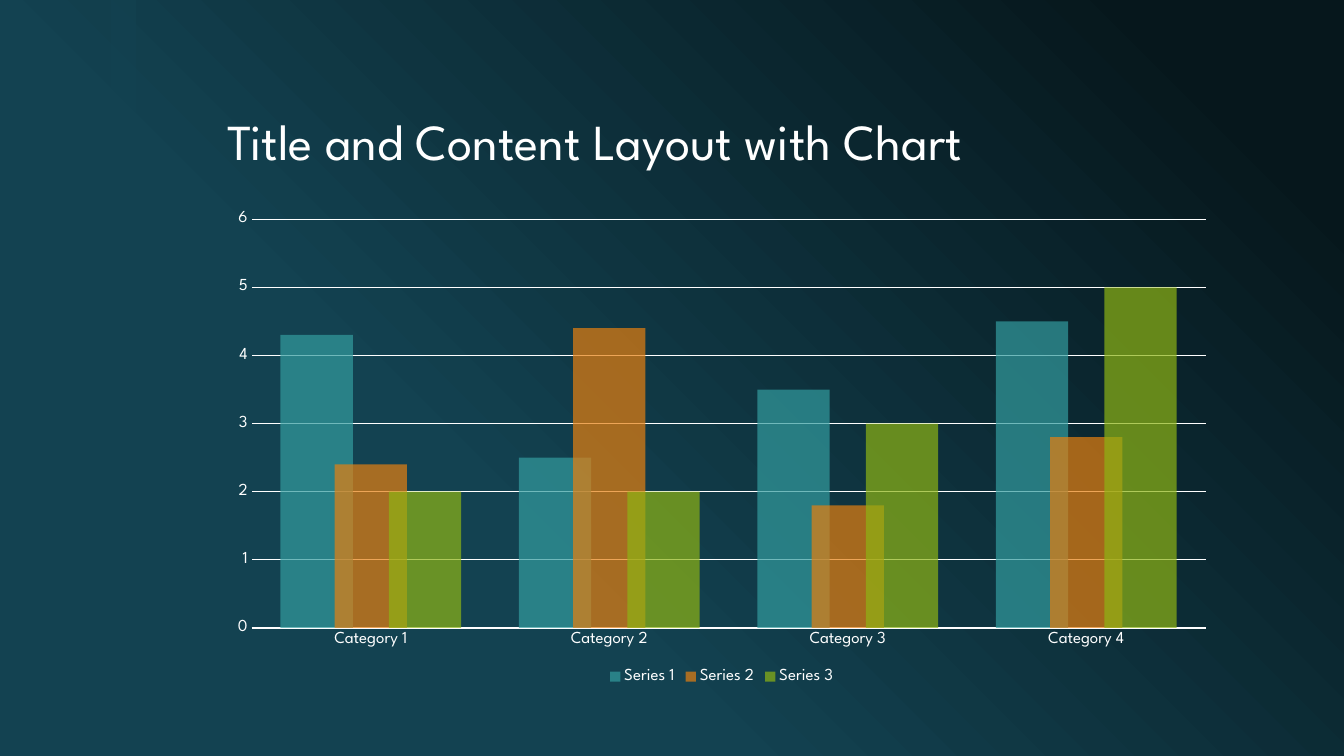
from dataclasses import dataclass

from lxml.etree import SubElement
from pptx import Presentation
from pptx.chart.chart import Chart
from pptx.chart.data import CategoryChartData
from pptx.dml.color import RGBColor
from pptx.dml.fill import FillFormat
from pptx.enum.chart import XL_CHART_TYPE, XL_LEGEND_POSITION, XL_TICK_MARK
from pptx.enum.shapes import MSO_SHAPE
from pptx.enum.text import MSO_ANCHOR
from pptx.oxml.ns import qn
from pptx.slide import Slide
from pptx.text.text import Font
from pptx.util import Pt

FONT = "League Spartan"
COLORS = {
    "night": "06171C",
    "deep_teal": "134251",
    "white": "FFFFFF",
    "teal": "339C9F",
    "orange": "E68010",
    "green": "8EB414",
}
CATEGORIES = [f"Category {number}" for number in range(1, 5)]
CONTENT_LEFT, CONTENT_WIDTH = Pt(155.5), Pt(720)


@dataclass
class Series:
    name: str
    values: tuple[float, ...]
    color: str


SERIES = [
    Series("Series 1", (4.3, 2.5, 3.5, 4.5), "teal"),
    Series("Series 2", (2.4, 4.4, 1.8, 2.8), "orange"),
    Series("Series 3", (2, 2, 3, 5), "green"),
]


def rgb(name: str) -> RGBColor:
    return RGBColor.from_string(COLORS[name])


def style_font(font: Font, size: float) -> None:
    font.name = FONT
    font.size = Pt(size)
    font.color.rgb = rgb("white")


def fill_translucent(fill: FillFormat, color: str, opacity: int) -> None:
    fill.solid()
    fill.fore_color.rgb = rgb(color)
    color_element = fill._xPr.find(qn("a:solidFill"))[0]
    SubElement(color_element, qn("a:alpha"), val=str(opacity * 1000))


def paint_background(slide: Slide) -> None:
    fill = slide.background.fill
    fill.gradient()
    fill.gradient_angle = 225
    stops = ((0.1, "night"), (0.65, "deep_teal"))
    for stop, (position, color) in zip(fill.gradient_stops, stops):
        stop.position = position
        stop.color.rgb = rgb(color)


def add_side_band(slide: Slide) -> None:
    band = slide.shapes.add_shape(MSO_SHAPE.RECTANGLE, Pt(79.2), Pt(0), Pt(18), Pt(540))
    band.shadow.inherit = False
    band.line.fill.background()
    fill_translucent(band.fill, "deep_teal", 60)


def add_title(slide: Slide, text: str) -> None:
    title = slide.shapes.add_textbox(CONTENT_LEFT, Pt(30.2), CONTENT_WIDTH, Pt(95.8))
    title.text_frame.word_wrap = True
    title.text_frame.vertical_anchor = MSO_ANCHOR.BOTTOM
    paragraph = title.text_frame.paragraphs[0]
    paragraph.text = text
    paragraph.line_spacing = 0.9
    style_font(paragraph.font, 36)


def style_axes(chart: Chart) -> None:
    for axis in (chart.category_axis, chart.value_axis):
        axis.major_tick_mark = XL_TICK_MARK.NONE
        axis.minor_tick_mark = XL_TICK_MARK.NONE
        style_font(axis.tick_labels.font, 12)

    category_line = chart.category_axis.format.line
    category_line.color.rgb = rgb("white")
    category_line.width = Pt(1.25)

    value_axis = chart.value_axis
    value_axis.minimum_scale = 0
    value_axis.maximum_scale = 6
    value_axis.major_unit = 1
    value_axis.format.line.fill.background()
    gridline = value_axis.major_gridlines.format.line
    gridline.color.rgb = rgb("white")
    gridline.width = Pt(0.75)


def add_column_chart(slide: Slide) -> None:
    data = CategoryChartData()
    data.categories = CATEGORIES
    for series in SERIES:
        data.add_series(series.name, series.values)
    chart = slide.shapes.add_chart(
        XL_CHART_TYPE.COLUMN_CLUSTERED,
        CONTENT_LEFT, Pt(144), CONTENT_WIDTH, Pt(347.8), data,
    ).chart
    chart.has_title = False
    style_font(chart.font, 10)
    style_axes(chart)

    plot = chart.plots[0]
    plot.gap_width = 80
    plot.overlap = 25
    plot.vary_by_categories = False
    for columns, series in zip(plot.series, SERIES):
        columns.invert_if_negative = False
        fill_translucent(columns.format.fill, series.color, 70)

    chart.has_legend = True
    chart.legend.position = XL_LEGEND_POSITION.BOTTOM
    chart.legend.include_in_layout = False
    style_font(chart.legend.font, 12)


def main() -> None:
    presentation = Presentation()
    presentation.slide_width = Pt(960)
    presentation.slide_height = Pt(540)
    slide = presentation.slides.add_slide(presentation.slide_layouts[6])
    paint_background(slide)
    add_side_band(slide)
    add_title(slide, "Title and Content Layout with Chart")
    add_column_chart(slide)
    presentation.save("out.pptx")


if __name__ == "__main__":
    main()
